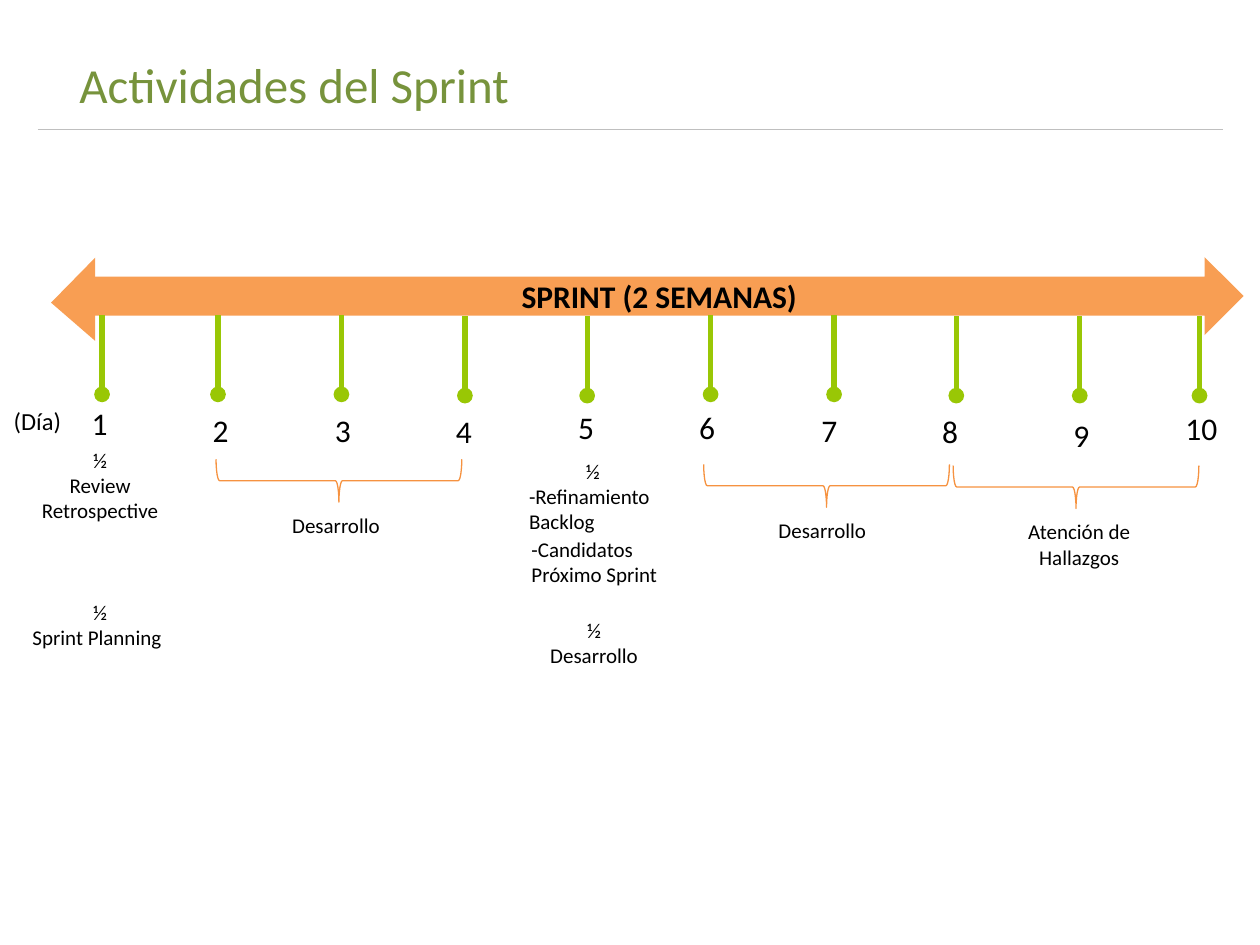
from lxml import etree
from pptx import Presentation
from pptx.dml.color import RGBColor
from pptx.enum.shapes import MSO_CONNECTOR, MSO_SHAPE
from pptx.enum.text import MSO_ANCHOR, MSO_AUTO_SIZE, PP_ALIGN
from pptx.oxml.ns import qn
from pptx.util import Inches, Pt

LINE = MSO_CONNECTOR.STRAIGHT
ARROW, TIP, BRACE = MSO_SHAPE.RIGHT_ARROW, MSO_SHAPE.ISOSCELES_TRIANGLE, MSO_SHAPE.LEFT_BRACE
LEFT, MID = PP_ALIGN.LEFT, PP_ALIGN.CENTER
TOP, MIDDLE = MSO_ANCHOR.TOP, MSO_ANCHOR.MIDDLE
FIXED = MSO_AUTO_SIZE.NONE
FONT, BLACK = "Calibri", "000000"
GREEN, LIME, ORANGE, RIM, GREY = "77933C", "99C705", "F89E53", "F69240", "BFBFBF"

color = RGBColor.from_string


def write(frame, rows, size, tone=BLACK, bold=False, align=LEFT, anchor=TOP):
    frame.text = rows
    frame.word_wrap = True
    frame.auto_size = FIXED
    frame.vertical_anchor = anchor
    for para in frame.paragraphs:
        para.alignment = align
        for run in para.runs:
            font = run.font
            font.name, font.size, font.bold = FONT, Pt(size), bold
            font.color.rgb = color(tone)


def rule(x1, y1, x2, y2, tone, width):
    line = slide.shapes.add_connector(LINE, Inches(x1), Inches(y1), Inches(x2), Inches(y2))
    line.line.color.rgb = color(tone)
    line.line.width = Pt(width)
    etree.SubElement(line._element.spPr, qn("a:effectLst"))
    return line


deck = Presentation()
deck.slide_width, deck.slide_height = Inches(10), Inches(7.5)
slide = deck.slides.add_slide(deck.slide_layouts[5])
shapes = slide.shapes

# Title and rule below it
title = shapes.title
title.left, title.top = Inches(0.53), Inches(0.38)
title.width, title.height = Inches(4.15), Inches(0.57)
write(title.text_frame, "Actividades del Sprint", 28, GREEN)
rule(0.3, 1.03, 9.71, 1.03, GREY, 0.75)

# Sprint arrow with a tip at each end
arrow = shapes.add_shape(ARROW, Inches(0.75), Inches(2.04), Inches(9.12), Inches(0.62))
write(arrow.text_frame, "SPRINT (2 SEMANAS)", 18, bold=True, align=MID, anchor=MIDDLE)
tip = shapes.add_shape(TIP, Inches(0.25), Inches(2.2), Inches(0.66), Inches(0.35))
tip.rotation = 270
tip.adjustments[0] = 0.46
for part in (arrow, tip):
    part.shadow.inherit = False
    part.fill.solid()
    part.fill.fore_color.rgb = color(ORANGE)
    part.line.fill.background()

# Days: stem x, stem top, number left, number top
days = [
    (0.81, 2.5, 0.63, 3.16),
    (1.73, 2.5, 1.59, 3.21),
    (2.71, 2.5, 2.56, 3.21),
    (3.69, 2.51, 3.52, 3.22),
    (4.66, 2.51, 4.49, 3.19),
    (5.64, 2.5, 5.45, 3.19),
    (6.62, 2.5, 6.42, 3.21),
    (7.59, 2.51, 7.38, 3.22),
    (8.57, 2.51, 8.42, 3.25),
    (9.52, 2.51, 9.31, 3.2),
]
for day, (x, y, left, top) in enumerate(days, 1):
    stem = rule(x, y, x, y + 0.63, LIME, 3)
    etree.SubElement(stem.line._get_or_add_ln(), qn("a:tailEnd"), type="oval")
    wide = 0.46 if day == 10 else 0.33
    box = shapes.add_textbox(Inches(left), Inches(top), Inches(wide), Inches(0.4))
    write(box.text_frame, str(day), 18)

unit = shapes.add_textbox(Inches(0.01), Inches(3.17), Inches(0.62), Inches(0.34))
write(unit.text_frame, "(Día)", 14)

# Braces over groups of days
for left, top in [(2.52, 2.84), (6.39, 2.88), (8.37, 2.89)]:
    brace = shapes.add_shape(BRACE, Inches(left), Inches(top), Inches(0.34), Inches(1.95))
    brace.rotation = 270
    brace.shadow.inherit = False
    brace.fill.background()
    brace.line.color.rgb = color(RIM)
    brace.line.width = Pt(0.75)

# Activities: left, top, width, height, alignment, text
tasks = [
    (2.22, 4.02, 0.98, 0.3, LEFT, "Desarrollo"),
    (4.12, 4.21, 1.34, 0.5, LEFT, "-Candidatos Próximo Sprint"),
    (4.17, 4.85, 1.09, 0.5, MID, "½\nDesarrollo"),
    (6.08, 4.06, 0.98, 0.3, LEFT, "Desarrollo"),
    (7.94, 4.07, 1.25, 0.5, MID, "Atención de Hallazgos"),
    (4.1, 3.59, 1.21, 0.71, MID, "½\n-Refinamiento Backlog"),
    (0.16, 3.5, 1.27, 1.72, MID, "½\nReview\nRetrospective\n½\nSprint Planning"),
]
for left, top, wide, high, align, words in tasks:
    box = shapes.add_textbox(Inches(left), Inches(top), Inches(wide), Inches(high))
    write(box.text_frame, words, 12, align=align)
    paras = box.text_frame.paragraphs
    if words.endswith(("Backlog", "Planning")):
        paras[-1].alignment = LEFT
    if len(paras) > 3:
        paras[3].space_before = Pt(44)

deck.save("out.pptx")
